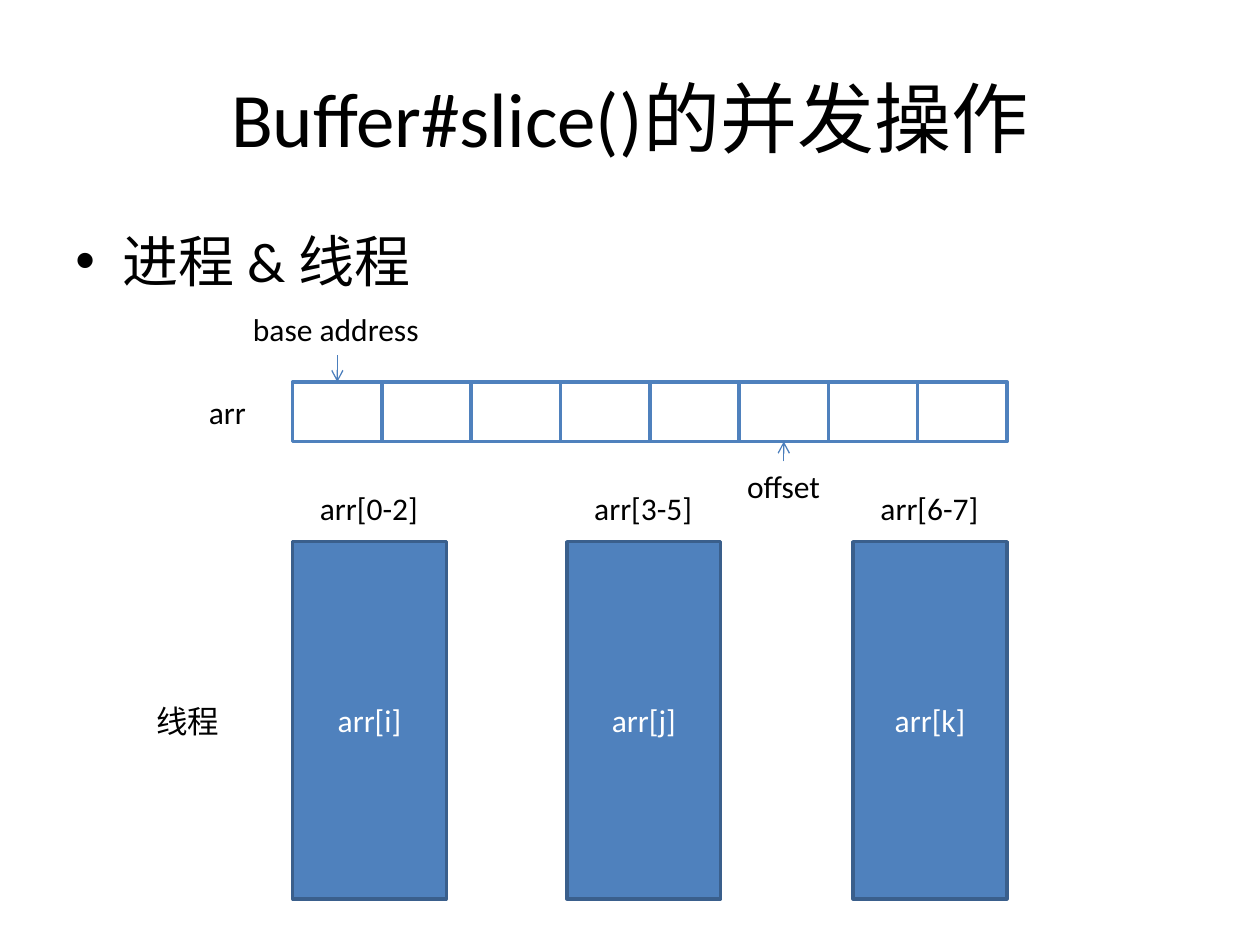
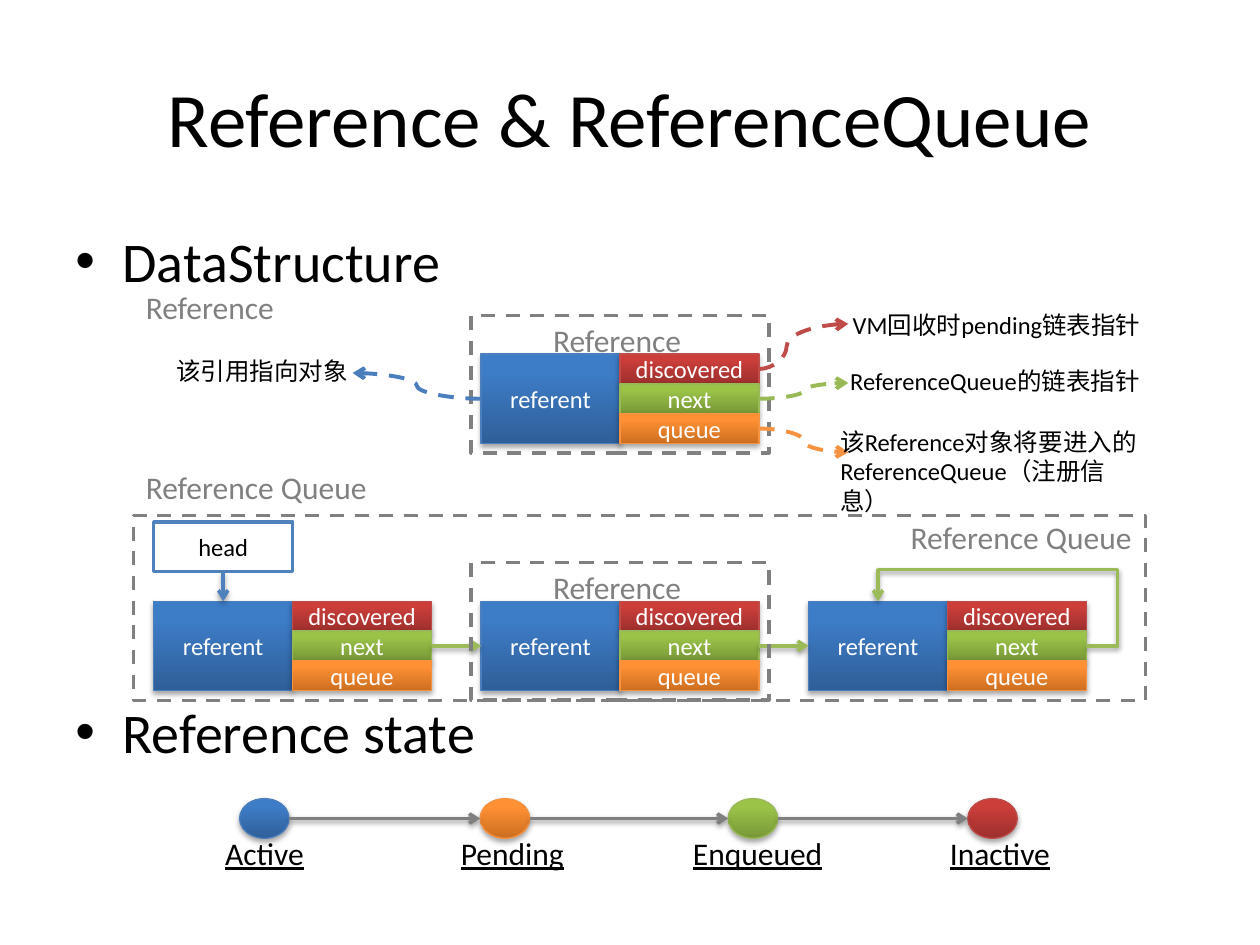
from lxml.etree import SubElement
from pptx import Presentation
from pptx.dml.color import RGBColor
from pptx.enum.dml import MSO_LINE
from pptx.enum.shapes import MSO_CONNECTOR, MSO_SHAPE
from pptx.enum.text import MSO_ANCHOR, MSO_AUTO_SIZE, PP_ALIGN
from pptx.oxml.ns import qn
from pptx.util import Cm, Pt

RECT, ELLIPSE = MSO_SHAPE.RECTANGLE, MSO_SHAPE.OVAL
STRAIGHT, ELBOW, CURVE = MSO_CONNECTOR.STRAIGHT, MSO_CONNECTOR.ELBOW, MSO_CONNECTOR.CURVE
CENTER, LEFT = PP_ALIGN.CENTER, PP_ALIGN.LEFT
MIDDLE, TOP = MSO_ANCHOR.MIDDLE, MSO_ANCHOR.TOP
FIT, FIXED = MSO_AUTO_SIZE.SHAPE_TO_FIT_TEXT, MSO_AUTO_SIZE.NONE
DASH = MSO_LINE.DASH

FONT = "Calibri"
COLORS = {
    "text": "000000",
    "white": "FFFFFF",
    "gray": "808080",
    "accent": "4F81BD",
    "accent_dark": "3A5F8C",
    "link": "9BBB59",
    "blue": "4B7EBC",
    "blue_low": "2F5F99",
    "blue_high": "3D7CC7",
    "red": "BF4C48",
    "red_low": "9C2F2D",
    "red_high": "CB3E3A",
    "green": "98B955",
    "green_low": "779737",
    "green_high": "9BC348",
    "orange": "F69240",
    "orange_low": "CC6E20",
    "orange_high": "FF9034",
}
FIELDS = [("discovered", "red"), ("next", "green"), ("queue", "orange")]
HALF_W, NODE_H, FIELD_H = 2.8, 1.8, 0.6
NODE_W = 2 * HALF_W


def rgb(name):
    return RGBColor.from_string(COLORS[name])


class Deck:
    def __init__(self):
        self.prs = Presentation()
        self.prs.slide_width, self.prs.slide_height = Cm(25.4), Cm(19.05)
        self.slide = None

    def new_slide(self, title):
        self.slide = self.prs.slides.add_slide(self.prs.slide_layouts[6])
        self.text(title, 1.27, 0.76, 22.86, 3.18, size=44, wrap=True,
                  align=CENTER, anchor=MIDDLE, fit=FIXED)

    def set_text(self, frame, content, size, color, align, underline=False):
        frame.text = content
        paragraph = frame.paragraphs[0]
        paragraph.alignment = align
        font = paragraph.runs[0].font
        font.name, font.size = FONT, Pt(size)
        font.color.rgb = rgb(color)
        if underline:
            font.underline = True
        return paragraph

    def text(self, content, x, y, w, h=1.02, size=18, color="text", wrap=False,
             align=LEFT, anchor=TOP, fit=FIT, underline=False):
        frame = self.slide.shapes.add_textbox(Cm(x), Cm(y), Cm(w), Cm(h)).text_frame
        frame.word_wrap = wrap
        frame.auto_size = fit
        frame.vertical_anchor = anchor
        return self.set_text(frame, content, size, color, align, underline)

    def bullet(self, content, y):
        paragraph = self.text(content, 1.27, y, 22.86, 1.8, size=32, wrap=True, fit=FIXED)
        paragraph.space_before = Pt(6.4)
        properties = paragraph._p.get_or_add_pPr()
        properties.set("marL", str(Cm(0.95)))
        properties.set("indent", str(Cm(-0.95)))
        SubElement(properties, qn("a:buFont"), typeface="Arial")
        SubElement(properties, qn("a:buChar"), char="•")

    def cast_shadow(self, effects, distance, opacity):
        shadow = SubElement(effects, qn("a:outerShdw"), blurRad=str(Pt(3.1)),
                            dist=str(Pt(distance)), dir="5400000", rotWithShape="0")
        color = SubElement(shadow, qn("a:srgbClr"), val=COLORS["text"])
        SubElement(color, qn("a:alpha"), val=str(opacity * 1000))

    def box(self, x, y, w, h, fill=None, line="accent", width=2, content=None,
            size=18, color="white", kind=RECT, dash=None):
        shape = self.slide.shapes.add_shape(kind, Cm(x), Cm(y), Cm(w), Cm(h))
        shape.shadow.inherit = False
        if fill:
            shape.fill.solid()
            shape.fill.fore_color.rgb = rgb(fill)
        else:
            shape.fill.background()
        shape.line.color.rgb = rgb(line)
        shape.line.width = Pt(width)
        if dash:
            shape.line.dash_style = dash
        if content:
            shape.text_frame.vertical_anchor = MIDDLE
            self.set_text(shape.text_frame, content, size, color, CENTER)
        return shape

    def glossy(self, x, y, w, h, tone, content=None, kind=RECT):
        shape = self.box(x, y, w, h, line=tone, width=0.75, content=content,
                         size=14, kind=kind)
        shape.fill.gradient()
        shape.fill.gradient_angle = 90
        for stop, position, shade in zip(shape.fill.gradient_stops, (0, 0.8), ("low", "high")):
            stop.position = position
            stop.color.rgb = rgb(f"{tone}_{shade}")
        self.cast_shadow(shape._element.spPr.find(qn("a:effectLst")), 1.8, 35)

    def arrow(self, start, end, color, width=2.0, kind=STRAIGHT, dash=None,
              shadow=False, preset=None, bends=()):
        points = [Cm(value) for value in (*start, *end)]
        connector = self.slide.shapes.add_connector(kind, *points)
        connector.line.color.rgb = rgb(color)
        connector.line.width = Pt(width)
        if dash:
            connector.line.dash_style = dash
        properties = connector._element.spPr
        SubElement(properties.find(qn("a:ln")), qn("a:tailEnd"), type="arrow")
        effects = SubElement(properties, qn("a:effectLst"))
        if shadow:
            self.cast_shadow(effects, 1.6, 38)
        geometry = properties.find(qn("a:prstGeom"))
        if preset:
            geometry.set("prst", preset)
        for number, bend in enumerate(bends, 1):
            SubElement(geometry.find(qn("a:avLst")), qn("a:gd"),
                       name=f"adj{number}", fmla=f"val {bend}")

    def node(self, x, y):
        self.glossy(x, y, HALF_W, NODE_H, "blue", "referent")
        for row, (field, tone) in enumerate(FIELDS):
            self.glossy(x + HALF_W, y + row * FIELD_H, HALF_W, FIELD_H, tone, field)

    def node_frame(self, x, y):
        self.box(x - 0.2, y - 0.78, NODE_W + 0.4, 2.77, line="gray", dash=DASH)
        self.text("Reference", x + 1.2, y - 0.8, 3.12, color="gray")


def build_slice_slide(deck):
    deck.new_slide("Buffer#slice()的并发操作")
    deck.bullet("进程 & 线程", 4.45)
    arr_x, arr_y, cell_w, cell_h = 5.9, 7.7, 1.8, 1.2
    for index in range(8):
        deck.box(arr_x + index * cell_w, arr_y, cell_w, cell_h, "white")
    base_x = arr_x + cell_w / 2
    offset_x = base_x + 5 * cell_w
    deck.text("base address", 4.85, 6.12, 3.89)
    deck.arrow((base_x, 7.16), (base_x, arr_y), "blue", 0.75)
    deck.text("arr", 3.96, 7.8, 1.27)
    deck.text("offset", 14.81, 9.3, 2.0)
    deck.arrow((offset_x, 9.3), (offset_x, arr_y + cell_h), "blue", 0.75)
    threads = [(5.9, "arr[i]", "arr[0-2]"), (11.43, "arr[j]", "arr[3-5]"),
               (17.2, "arr[k]", "arr[6-7]")]
    for x, access, part in threads:
        deck.box(x, 10.92, 3.1, 7.2, "accent", "accent_dark", content=access)
        deck.text(part, x + 0.3, 9.73, 2.51)
    deck.text("线程", 2.9, 14.02, 1.8)


def build_queue(deck):
    queue_y, head_y, head_h = 12.12, 10.52, 1.0
    node_xs = [3.1 + 6.6 * index for index in range(3)]
    next_y = queue_y + NODE_H / 2
    for x in node_xs:
        deck.node(x, queue_y)
    for x, following in zip(node_xs, node_xs[1:]):
        deck.arrow((x + NODE_W, next_y), (following, next_y), "link", shadow=True)
    head_x = node_xs[0] + HALF_W / 2
    deck.box(node_xs[0], head_y, HALF_W, head_h, "white", content="head",
             size=14, color="text")
    deck.arrow((node_xs[2] + NODE_W, next_y), (node_xs[2] + HALF_W / 2, queue_y), "link",
               kind=ELBOW, shadow=True, preset="bentConnector4", bends=(-15100, 170500))
    deck.arrow((head_x, head_y + head_h), (head_x, queue_y), "accent", shadow=True)
    deck.node_frame(node_xs[1], queue_y)
    deck.box(2.69, 10.39, 20.4, 3.73, line="gray", dash=DASH)


def build_states(deck):
    states = [("Active", "blue", 4.83, 4.29, 2.11), ("Pending", "orange", 9.68, 9.04, 2.62),
              ("Enqueued", "green", 14.68, 13.72, 3.15), ("Inactive", "red", 19.51, 18.9, 2.57)]
    dot_w, dot_h, dot_y = 1.0, 0.8, 16.1
    middle_y = dot_y + dot_h / 2
    for state, tone, dot_x, label_x, label_w in states:
        deck.glossy(dot_x, dot_y, dot_w, dot_h, tone, kind=ELLIPSE)
        deck.text(state, label_x, 16.69, label_w, underline=True)
    for before, after in zip(states, states[1:]):
        deck.arrow((before[2] + dot_w, middle_y), (after[2], middle_y), "gray", shadow=True)


def build_reference(deck):
    x, y = 9.7, 7.14
    deck.node(x, y)
    deck.node_frame(x, y)
    deck.arrow((x, y + NODE_H / 2), (7.11, 7.52), "blue", 2.25, CURVE, DASH)
    for row, (tip_y, bends) in enumerate([(6.53, (31000,)), (7.72, ()), (9.12, ())]):
        deck.arrow((x + NODE_W, y + (row + 0.5) * FIELD_H), (17.1, tip_y),
                   FIELDS[row][1], 2.25, CURVE, DASH, bends=bends)
    deck.text("该引用指向对象", 3.3, 7.06, 4.0, 0.86, size=14)
    explanations = [("VM回收时pending链表指针", 16.94, 6.12, 6.38),
                    ("ReferenceQueue的链表指针", 16.89, 7.26, 6.4),
                    ("该Reference对象将要进入的ReferenceQueue（注册信息）", 16.69, 8.48, 6.81)]
    for explanation, left, top, width in explanations:
        deck.text(explanation, left, top, width, 0.86, size=14, wrap=True)


def build_reference_slide(deck):
    deck.new_slide("Reference & ReferenceQueue")
    deck.bullet("DataStructure", 4.45)
    deck.bullet("Reference state", 13.94)
    build_queue(deck)
    build_states(deck)
    build_reference(deck)
    deck.text("Reference Queue", 2.69, 9.32, 5.08, color="gray")
    deck.text("Reference", 2.69, 5.69, 3.18, color="gray")
    deck.text("Reference Queue", 18.11, 10.31, 5.08, color="gray")


def main():
    deck = Deck()
    build_slice_slide(deck)
    build_reference_slide(deck)
    deck.prs.save("out.pptx")


if __name__ == "__main__":
    main()
